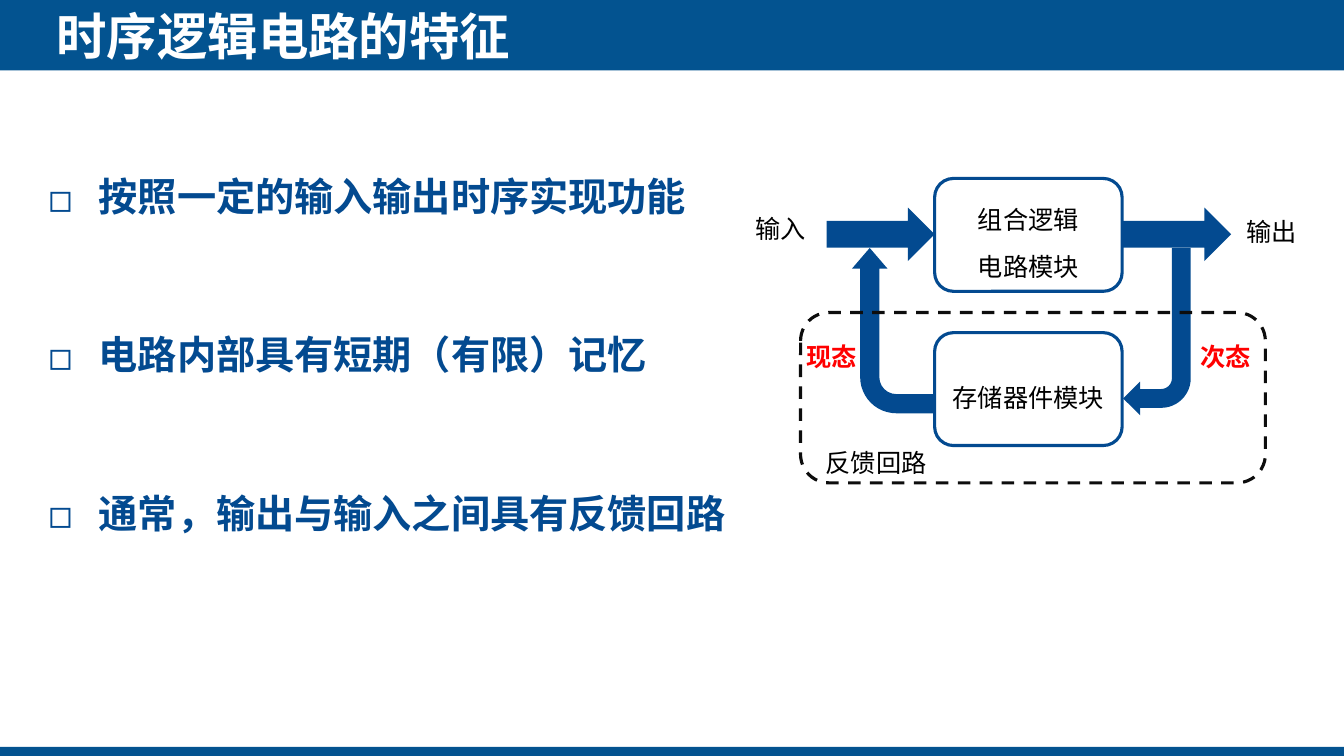
from pptx import Presentation
from pptx.dml.color import RGBColor
from pptx.enum.dml import MSO_LINE
from pptx.enum.shapes import MSO_SHAPE
from pptx.enum.text import MSO_ANCHOR, MSO_AUTO_SIZE, PP_ALIGN
from pptx.oxml.xmlchemy import OxmlElement
from pptx.util import Inches, Pt

FONT = "Noto Sans CJK SC"
COLORS = {
    "bar": "035390",
    "blue": "034A90",
    "white": "FFFFFF",
    "black": "000000",
    "dash": "0D0D0D",
    "red": "FF0000",
}


def rgb(name):
    return RGBColor.from_string(COLORS[name])


def place(shape, left, top, width, height):
    shape.left, shape.top = Inches(left), Inches(top)
    shape.width, shape.height = Inches(width), Inches(height)


def add_run(paragraph, text, size, color, bold=False):
    """Add a run whose Latin and East Asian typefaces are both set."""
    run = paragraph.add_run()
    run.text = text
    run.font.size = Pt(size)
    run.font.bold = bold
    run.font.color.rgb = rgb(color)
    run.font.name = FONT
    east_asian = OxmlElement("a:ea")
    east_asian.set("typeface", FONT)
    run.font.element.append(east_asian) if hasattr(run.font, "element") else \
        run._r.get_or_add_rPr().append(east_asian)


def add_bullet(paragraph, indent):
    """Give the paragraph a hanging square bullet."""
    properties = paragraph._p.get_or_add_pPr()
    properties.set("marL", str(Inches(indent)))
    properties.set("indent", str(-Inches(indent)))
    for tag, attribute, value in (("a:buFont", "typeface", FONT),
                                  ("a:buChar", "char", "◻")):
        element = OxmlElement(tag)
        element.set(attribute, value)
        properties.append(element)


def add_block(slide, kind, left, top, width, height, fill=None, line=None):
    shape = slide.shapes.add_shape(
        kind, Inches(left), Inches(top), Inches(width), Inches(height))
    shape.shadow.inherit = False
    if fill:
        shape.fill.solid()
        shape.fill.fore_color.rgb = rgb(fill)
    else:
        shape.fill.background()
    if line:
        shape.line.color.rgb = rgb(line)
        shape.line.width = Pt(2.25)
    else:
        shape.line.fill.background()
    return shape


def add_module(slide, top, lines):
    """Add a rounded circuit module with centred lines of text."""
    module = add_block(slide, MSO_SHAPE.ROUNDED_RECTANGLE,
                       9.27, top, 1.86, 1.12, line="blue")
    frame = module.text_frame
    frame.vertical_anchor = MSO_ANCHOR.MIDDLE
    for index, text in enumerate(lines):
        paragraph = frame.add_paragraph() if index else frame.paragraphs[0]
        paragraph.alignment = PP_ALIGN.CENTER
        paragraph.line_spacing = Pt(33)
        add_run(paragraph, text, 18, "black")


def add_bent_arrow(slide, left, top, width, height, rotation, adjustments):
    arrow = add_block(slide, MSO_SHAPE.BENT_ARROW,
                      left, top, width, height, fill="blue")
    arrow.rotation = rotation
    for index, value in enumerate(adjustments):
        arrow.adjustments[index] = value


def add_label(slide, text, left, top, width=0.71, color="black", bold=False):
    box = slide.shapes.add_textbox(
        Inches(left), Inches(top), Inches(width), Inches(0.4))
    box.text_frame.word_wrap = False
    paragraph = box.text_frame.paragraphs[0]
    paragraph.line_spacing = Pt(24)
    add_run(paragraph, text, 18, color, bold)


def fill_title(title, text):
    place(title, 0.56, 0.05, 8.57, 0.61)
    frame = title.text_frame
    frame.margin_left = frame.margin_right = 0
    frame.margin_top = frame.margin_bottom = 0
    frame.vertical_anchor = MSO_ANCHOR.MIDDLE
    frame.auto_size = MSO_AUTO_SIZE.NONE
    frame.paragraphs[0].alignment = PP_ALIGN.LEFT
    add_run(frame.paragraphs[0], text, 36, "white", True)


def fill_features(body, features):
    place(body, 0.38, 1.43, 7.07, 3.89)
    frame = body.text_frame
    frame.word_wrap = True
    frame.vertical_anchor = MSO_ANCHOR.TOP
    frame.auto_size = MSO_AUTO_SIZE.NONE
    for index, text in enumerate(features):
        paragraph = frame.add_paragraph() if index else frame.paragraphs[0]
        add_bullet(paragraph, 0.5)
        paragraph.alignment = PP_ALIGN.JUSTIFY
        paragraph.line_spacing = Pt(50.4)
        paragraph.space_before = Pt(0)
        paragraph.space_after = Pt(62.5)
        add_run(paragraph, text, 28, "blue", True)


def add_circuit(slide):
    """Draw the logic module, the memory module and the feedback loop."""
    add_module(slide, 1.77, ["组合逻辑", "电路模块"])
    add_module(slide, 3.3, ["存储器件模块"])
    for left in (8.2, 11.14):
        add_block(slide, MSO_SHAPE.RIGHT_ARROW, left, 2.06, 1.07, 0.53,
                  fill="blue")
    add_bent_arrow(slide, 11.14, 2.46, 0.67, 1.66, 180,
                   (0.279, 0.25, 0.25, 0.438))
    add_bent_arrow(slide, 8.04, 2.87, 1.64, 0.82, 270,
                   (0.232, 0.215, 0.25, 0.438))
    loop = add_block(slide, MSO_SHAPE.ROUNDED_RECTANGLE,
                     7.94, 3.1, 4.61, 1.69, line="dash")
    loop.line.dash_style = MSO_LINE.DASH
    add_label(slide, "输入", 7.39, 2.03)
    add_label(slide, "输出", 12.26, 2.06)
    add_label(slide, "反馈回路", 8.09, 4.36, width=1.21)
    add_label(slide, "次态", 11.81, 3.3, color="red", bold=True)
    add_label(slide, "现态", 7.9, 3.3, color="red", bold=True)


def main():
    presentation = Presentation()
    presentation.slide_width = Inches(13.33)
    presentation.slide_height = Inches(7.5)
    slide = presentation.slides.add_slide(presentation.slide_layouts[1])
    title, body = slide.shapes.title, slide.placeholders[1]

    for top, height in ((0, 0.7), (7.41, 0.09)):
        bar = add_block(slide, MSO_SHAPE.RECTANGLE, 0, top, 13.33, height,
                        fill="bar")
        title.element.addprevious(bar.element)  # keep the bars behind the title

    fill_title(title, "时序逻辑电路的特征")
    fill_features(body, [
        "按照一定的输入输出时序实现功能",
        "电路内部具有短期（有限）记忆",
        "通常，输出与输入之间具有反馈回路",
    ])
    add_circuit(slide)
    presentation.save("out.pptx")


if __name__ == "__main__":
    main()
